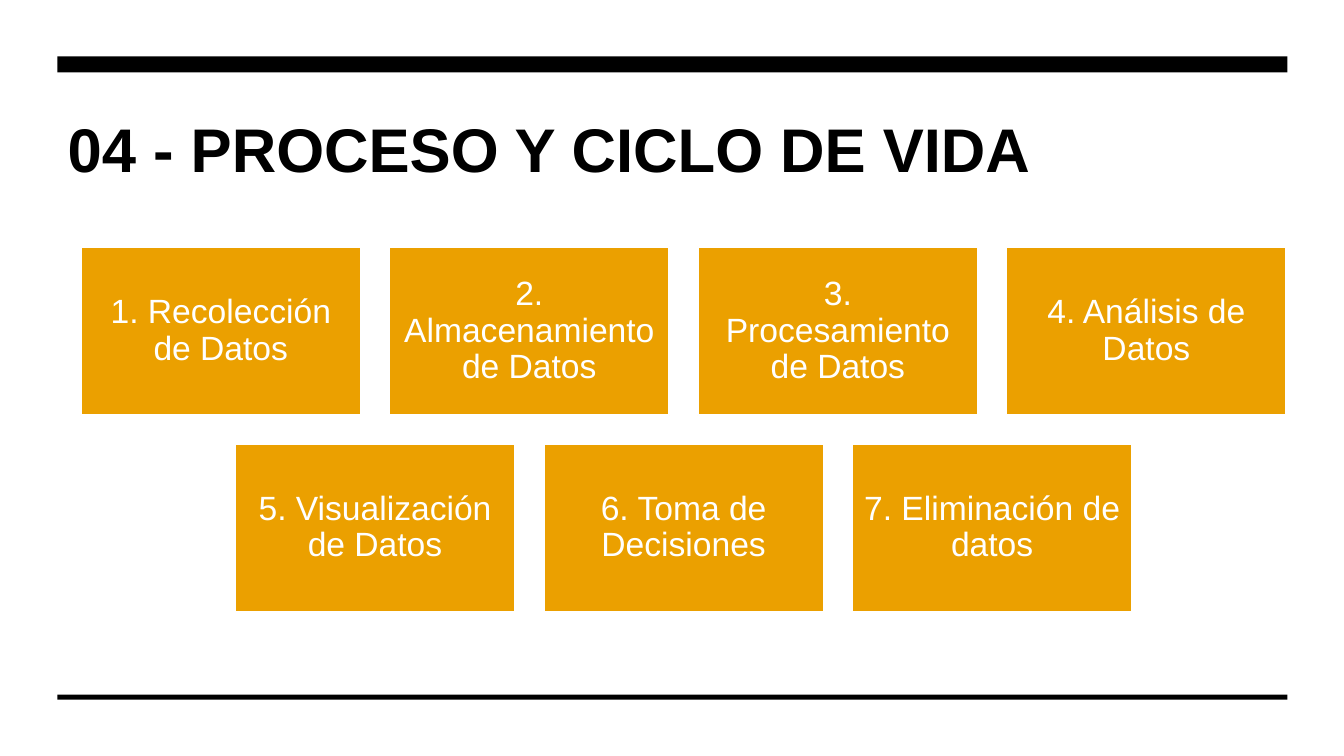
"""Build the slide on the process and life cycle of data."""
from pptx import Presentation
from pptx.dml.color import RGBColor
from pptx.enum.shapes import MSO_SHAPE
from pptx.enum.text import MSO_ANCHOR, PP_ALIGN
from pptx.util import Inches, Pt

RECT = MSO_SHAPE.RECTANGLE
MIDDLE = MSO_ANCHOR.MIDDLE
LEFT, CENTER = PP_ALIGN.LEFT, PP_ALIGN.CENTER

TITLE = "04 - PROCESO Y CICLO DE VIDA"
ROWS = [
    ["1. Recolección de Datos", "2. Almacenamiento de Datos",
     "3. Procesamiento de Datos", "4. Análisis de Datos"],
    ["5. Visualización de Datos", "6. Toma de Decisiones",
     "7. Eliminación de datos"],
]
BARS = [(0.56, 0.16), (6.89, 0.05)]
EDGE, SPAN = 0.57, 12.2
BOX_W, BOX_H, GAP = 2.78, 1.67, 0.28
MID, TOP = 6.78, 2.45
BLACK, WHITE, GOLD = "000000", "FFFFFF", "EBA000"
HEAD = {"size": Pt(44), "bold": True, "name": "Arial"}
STEP = {"size": Pt(24), "bold": False, "name": "Arial"}


def color(code):
    """Turn a hex string into a colour."""
    return RGBColor.from_string(code)


def write(shape, text, style, ink, align):
    """Put one formatted paragraph in a shape."""
    frame = shape.text_frame
    frame.word_wrap = True
    frame.vertical_anchor = MIDDLE
    para = frame.paragraphs[0]
    para.alignment = align
    para.line_spacing = 0.9
    run = para.add_run()
    run.text = text
    for key, value in style.items():
        setattr(run.font, key, value)
    run.font.color.rgb = color(ink)
    return frame


def block(slide, x, y, w, h, fill):
    """Add a plain filled rectangle."""
    shape = slide.shapes.add_shape(RECT, *map(Inches, (x, y, w, h)))
    shape.shadow.inherit = False
    shape.fill.solid()
    shape.fill.fore_color.rgb = color(fill)
    shape.line.fill.background()
    return shape


def main():
    """Draw the title, the bars and the steps."""
    deck = Presentation()
    deck.slide_width, deck.slide_height = Inches(13.33), Inches(7.5)
    slide = deck.slides.add_slide(deck.slide_layouts[5])

    title = slide.shapes.title
    title.left, title.top = Inches(EDGE), Inches(1.07)
    title.width, title.height = Inches(11.98), Inches(0.88)
    write(title, TITLE, HEAD, BLACK, LEFT)

    for y, h in BARS:
        block(slide, EDGE, y, SPAN, h, BLACK)

    for i, row in enumerate(ROWS):
        start = MID - (len(row) * (BOX_W + GAP) - GAP) / 2
        y = TOP + i * (BOX_H + GAP)
        for j, text in enumerate(row):
            x = start + j * (BOX_W + GAP)
            box = block(slide, x, y, BOX_W, BOX_H, GOLD)
            box.line.color.rgb = color(WHITE)
            box.line.width = Pt(1.5)
            frame = write(box, text, STEP, WHITE, CENTER)
            for side in ("left", "top", "right", "bottom"):
                setattr(frame, "margin_" + side, Inches(0.1))

    deck.save("out.pptx")


if __name__ == "__main__":
    main()
